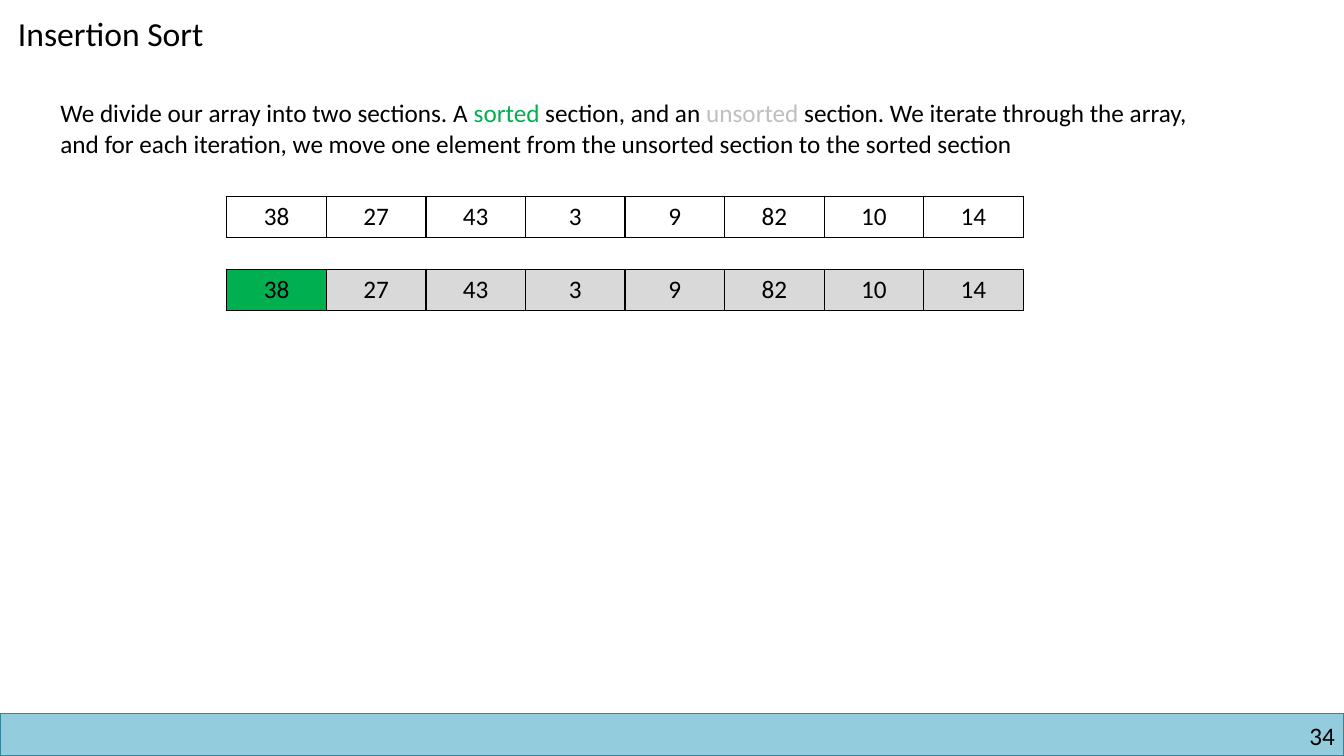
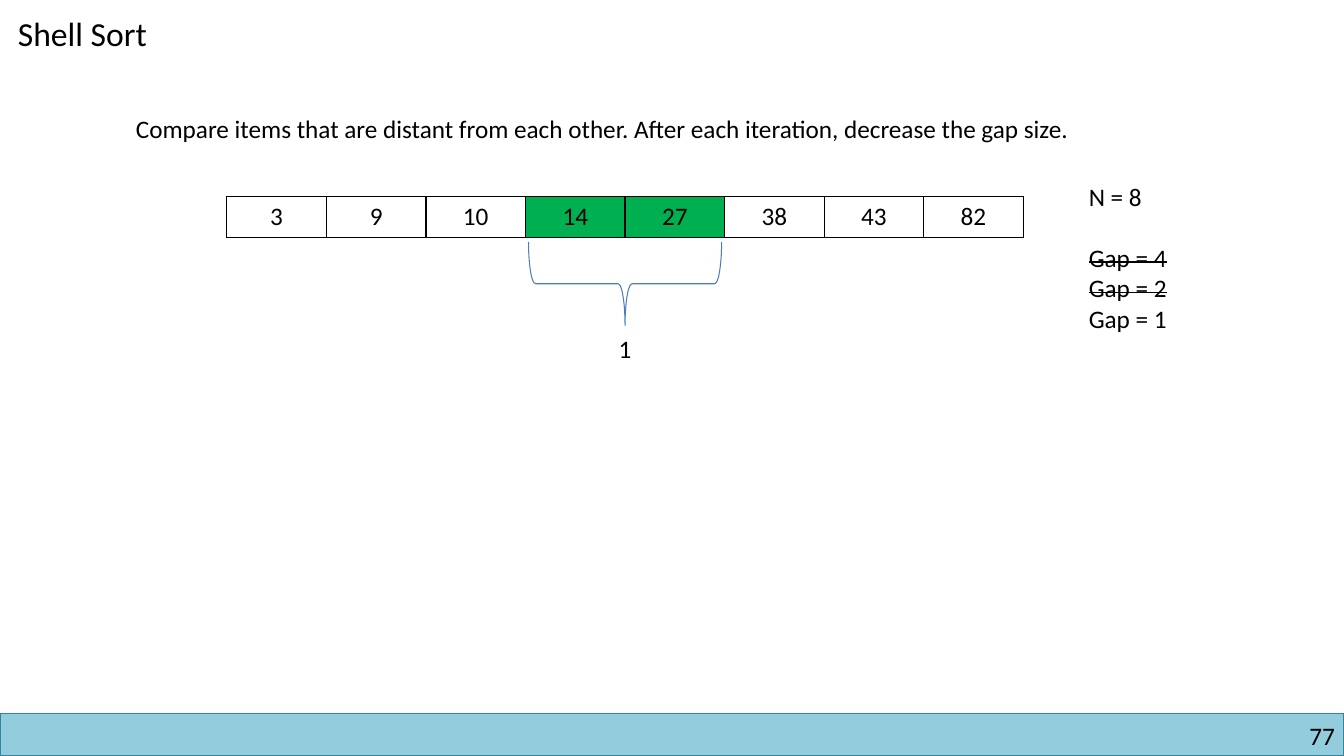
"""Build two slides on array sorting: insertion sort and shell sort."""
from lxml.etree import SubElement
from pptx import Presentation
from pptx.dml.color import RGBColor
from pptx.enum.shapes import MSO_SHAPE as Shape
from pptx.enum.text import PP_ALIGN as Align
from pptx.oxml.ns import qn
from pptx.util import Inches, Pt

FONT = "Calibri"
BODY_SIZE, TITLE_SIZE = 18, 24
LINE_HEIGHT = 22
BLACK, WHITE = "000000", "FFFFFF"
SORTED, UNSORTED, UNSORTED_TEXT = "00B050", "D9D9D9", "BFBFBF"
BAND_FILL, BAND_LINE, BRACE_LINE = "93CDDD", "31859C", "4B7EBC"

SLIDE_W, SLIDE_H = 13.33, 7.5
BAND_H = 0.42
ARRAY_LEFT, ARRAY_TOP, ARRAY_W, ARRAY_H = 2.25, 1.95, 7.9, 0.41
ARRAY_STEP = 0.72
BRACE_TOP, BRACE_DEPTH, BRACE_INSET = 2.4, 0.83, 0.03

INSERTION = {
    "title": "Insertion Sort",
    "page": "34",
    "intro_box": (0.5, 0.92, 11.75, 0.71),
    "intro": [
        ("We divide our array into two sections. A ", BLACK),
        ("sorted", SORTED),
        (" section, and an ", BLACK),
        ("unsorted", UNSORTED_TEXT),
        (" section. We iterate through the array, and for each iteration, "
         "we move one element from the unsorted section to the sorted section", BLACK),
    ],
    "numbers": [38, 27, 43, 3, 9, 82, 10, 14],
    "array_fills": [[WHITE] * 8, [SORTED] + [UNSORTED] * 7],
}
SHELL = {
    "title": "Shell Sort",
    "page": "77",
    "intro_box": (1.25, 1.08, 10.36, 0.4),
    "intro": [("Compare items that are distant from each other. "
               "After each iteration, decrease the gap size.", BLACK)],
    "numbers": [3, 9, 10, 14, 27, 38, 43, 82],
    "array_fills": [[WHITE] * 3 + [SORTED] * 2 + [WHITE] * 3],
}
COMPARED = (3, 4)
GAP_STEPS = [("N = 8", False, 0), ("Gap = 4", True, LINE_HEIGHT),
             ("Gap = 2", True, 0), ("Gap = 1", False, 0)]


def rgb(value):
    """Turn a hex string into a colour."""
    return RGBColor.from_string(value)


def add_run(paragraph, text, color=BLACK, size=BODY_SIZE):
    """Append one styled run."""
    run = paragraph.add_run()
    run.text = text
    run.font.name, run.font.size = FONT, Pt(size)
    run.font.color.rgb = rgb(color)
    return run


def add_text(slide, box, runs, size=BODY_SIZE, align=Align.LEFT):
    """Add a wrapped text box with one paragraph and return its frame."""
    frame = slide.shapes.add_textbox(*map(Inches, box)).text_frame
    frame.word_wrap = True
    paragraph = frame.paragraphs[0]
    paragraph.alignment = align
    for text, color in runs:
        add_run(paragraph, text, color, size)
    return frame


def add_border(cell):
    """Draw a black line on every side of a table cell."""
    properties = cell._tc.get_or_add_tcPr()
    for side in ("a:lnL", "a:lnR", "a:lnT", "a:lnB"):
        line = SubElement(properties, qn(side), w=str(Pt(1)))
        SubElement(SubElement(line, qn("a:solidFill")), qn("a:srgbClr"), val=BLACK)


def add_array(slide, top, numbers, fills):
    """Add a one-row table that shows an array."""
    place = map(Inches, (ARRAY_LEFT, top, ARRAY_W, ARRAY_H))
    table = slide.shapes.add_table(1, len(numbers), *place).table
    table.first_row = table.horz_banding = False
    for column, (number, fill) in enumerate(zip(numbers, fills)):
        table.columns[column].width = Inches(ARRAY_W / len(numbers))
        cell = table.cell(0, column)
        add_border(cell)
        cell.fill.solid()
        cell.fill.fore_color.rgb = rgb(fill)
        paragraph = cell.text_frame.paragraphs[0]
        paragraph.alignment = Align.CENTER
        add_run(paragraph, str(number))


def add_sort_slide(deck, content):
    """Add a slide with footer band, page number, title, intro and arrays."""
    slide = deck.slides.add_slide(deck.slide_layouts[6])
    band = slide.shapes.add_shape(
        Shape.RECTANGLE, *map(Inches, (0, SLIDE_H - BAND_H, SLIDE_W, BAND_H)))
    band.shadow.inherit = False
    band.fill.solid()
    band.fill.fore_color.rgb = rgb(BAND_FILL)
    band.line.color.rgb, band.line.width = rgb(BAND_LINE), Pt(1)
    page = add_text(slide, (10.17, 7.15, 3.07, 0.3), [(content["page"], BLACK)],
                    align=Align.RIGHT)
    page.margin_left = page.margin_right = page.margin_top = page.margin_bottom = 0
    add_text(slide, (0.08, 0.08, 4, 0.5), [(content["title"], BLACK)], TITLE_SIZE)
    add_text(slide, content["intro_box"], content["intro"])
    for row, fills in enumerate(content["array_fills"]):
        add_array(slide, ARRAY_TOP + row * ARRAY_STEP, content["numbers"], fills)
    return slide


def add_gap_brace(slide):
    """Bracket the compared cells from below and label their distance."""
    first, last = COMPARED
    cell_w = ARRAY_W / len(SHELL["numbers"])
    span = (last - first + 1) * cell_w - 2 * BRACE_INSET
    center_x = ARRAY_LEFT + (first + last + 1) / 2 * cell_w
    center_y = BRACE_TOP + BRACE_DEPTH / 2
    brace = slide.shapes.add_shape(
        Shape.LEFT_BRACE, Inches(center_x - BRACE_DEPTH / 2),
        Inches(center_y - span / 2), Inches(BRACE_DEPTH), Inches(span))
    brace.rotation = 270
    brace.shadow.inherit = False
    brace.fill.background()
    brace.line.color.rgb, brace.line.width = rgb(BRACE_LINE), Pt(0.75)
    add_text(slide, (center_x - 0.5, 3.26, 1, 0.4), [(str(last - first), BLACK)],
             align=Align.CENTER)


def add_gap_steps(slide):
    """List the gap sizes, with the finished ones struck through."""
    frame = add_text(slide, (10.7, 1.75, 1.11, 1.62), [])
    for index, (text, done, space) in enumerate(GAP_STEPS):
        paragraph = frame.add_paragraph() if index else frame.paragraphs[0]
        if space:
            paragraph.space_before = Pt(space)
        run = add_run(paragraph, text)
        if done:
            run._r.get_or_add_rPr().set("strike", "sngStrike")


def main():
    """Build and save the deck."""
    deck = Presentation()
    deck.slide_width, deck.slide_height = Inches(SLIDE_W), Inches(SLIDE_H)
    add_sort_slide(deck, INSERTION)
    shell_slide = add_sort_slide(deck, SHELL)
    add_gap_steps(shell_slide)
    add_gap_brace(shell_slide)
    deck.save("out.pptx")


if __name__ == "__main__":
    main()
